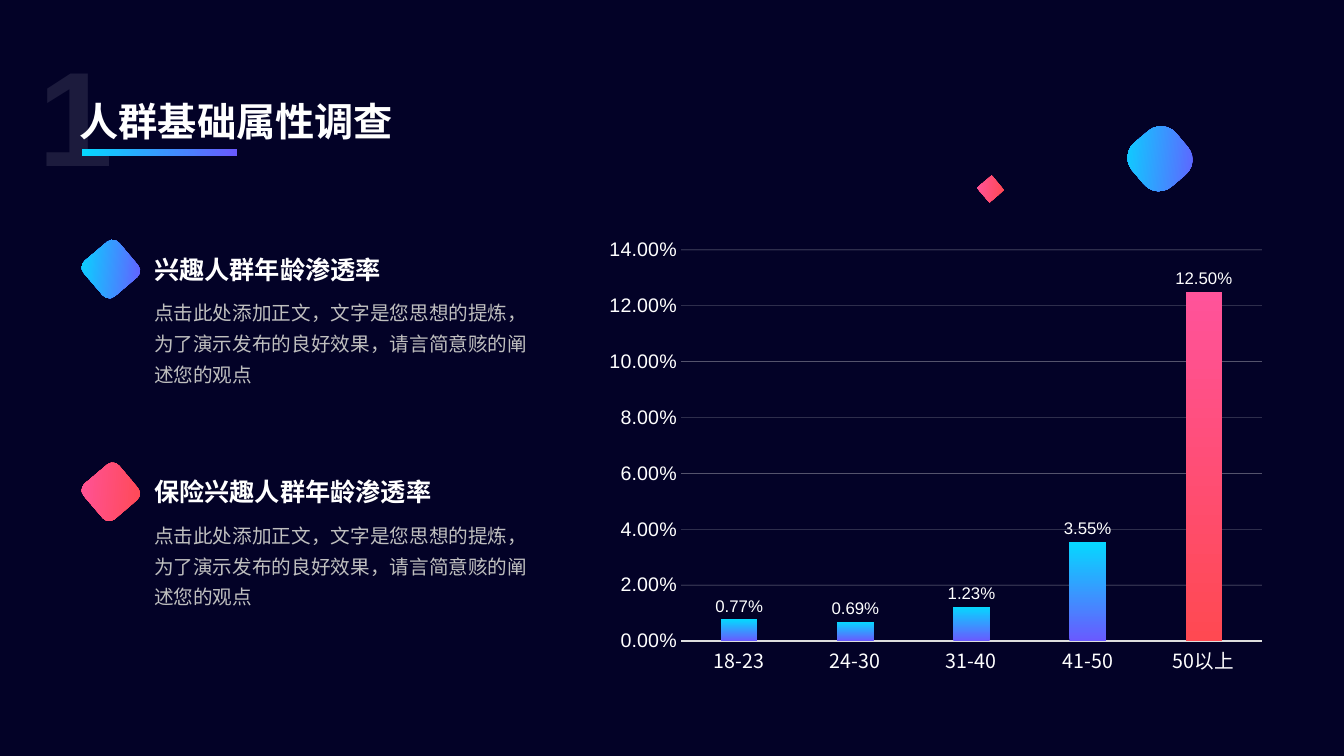
from lxml import etree
from pptx import Presentation
from pptx import util as u
from pptx.chart.data import CategoryChartData
from pptx.dml.color import RGBColor
from pptx.enum import chart as ch, shapes, text
from pptx.oxml.ns import qn

LATIN, CJK = "Arial", "Noto Sans CJK SC"
BLUE, PINK = ("695AFF", "05D8FF"), ("FF4952", "FF539A")
WHITE = "FFFFFF"
BODY = "点击此处添加正文，文字是您思想的提炼，为了演示发布的良好效果，请言简意赅的阐述您的观点"
SECTIONS = [("兴趣人群年龄渗透率", BLUE), ("保险兴趣人群年龄渗透率", PINK)]
PENETRATION = {"18-23": 0.0077, "24-30": 0.0069, "31-40": 0.0123,
               "41-50": 0.0355, "50以上": 0.125}


def rgb(value):
    return RGBColor.from_string(value)


def box(x0, y0, x1, y1):
    return [(x0, y0), (x1, y0), (x1, y1), (x0, y1)]


MONITOR = [
    [(20, 0), (170, 0), (170, 46), (194, 46), (200, 52), (200, 166), (194, 172),
     (122, 172), (122, 190), (134, 190), (134, 200), (64, 200), (64, 190),
     (76, 190), (76, 172), (6, 172), (0, 166), (0, 52), (6, 46), (20, 46)],
    box(84, 172, 114, 190), box(10, 156, 190, 164), box(172, 54, 190, 148),
    box(10, 54, 20, 148), box(28, 34, 164, 148), box(28, 8, 164, 26),
    box(36, 13, 42, 20), box(48, 13, 54, 20), box(60, 13, 66, 20),
    box(72, 13, 156, 20),
    [(98, 46), (144, 128), (52, 128)], [(98, 60), (130, 120), (64, 120)],
    box(94, 78, 102, 100), box(94, 105, 102, 112),
]


class Deck:
    def __init__(self, prs, background):
        self.slide = prs.slides.add_slide(prs.slide_layouts[5])
        self.shapes = self.slide.shapes
        self.slide.background.fill.solid()
        self.slide.background.fill.fore_color.rgb = rgb(background)

    def font(self, font, size, color, name, bold=False):
        font.size, font.bold, font.name = u.Pt(size), bold, name
        font.color.rgb = rgb(color)
        etree.SubElement(font._rPr, qn("a:ea")).set("typeface", name)

    def gradient(self, fill, colors, angle):
        fill.gradient()
        fill.gradient_angle = angle
        for stop, color in zip(fill.gradient_stops, colors):
            stop.color.rgb = rgb(color)

    def place(self, sp, at):
        sp.left, sp.top, sp.width, sp.height = map(u.Inches, at)

    def add_text(self, sp, content, size, color, name, bold=False, spacing=None):
        tf = sp.text_frame
        tf.word_wrap = True
        tf.auto_size = text.MSO_AUTO_SIZE.SHAPE_TO_FIT_TEXT
        tf.vertical_anchor = text.MSO_ANCHOR.TOP
        p = tf.paragraphs[0]
        p.alignment = text.PP_ALIGN.LEFT
        p.line_spacing = spacing
        r = p.add_run()
        r.text = content
        self.font(r.font, size, color, name, bold)

    def label(self, at, *args, **kwargs):
        self.add_text(self.shapes.add_textbox(*map(u.Inches, at)), *args, **kwargs)

    def title(self, at, content):
        sp = self.shapes.title
        self.place(sp, at)
        self.add_text(sp, content, 28, WHITE, CJK, bold=True)
        self.shapes._spTree.append(sp._element)

    def bar(self, at, colors):
        sp = self.shapes.add_shape(shapes.MSO_SHAPE.RECTANGLE, *map(u.Inches, at))
        sp.shadow.inherit = False
        sp.line.fill.background()
        self.gradient(sp.fill, colors, 180)

    def diamond(self, left, top, side, corner, colors, parent=None):
        sp = (parent or self.shapes).add_shape(
            shapes.MSO_SHAPE.ROUNDED_RECTANGLE,
            *map(u.Inches, (left, top, side, side)))
        sp.adjustments[0] = corner
        sp.rotation = 49.7
        sp.shadow.inherit = False
        sp.line.fill.background()
        self.gradient(sp.fill, colors, 225)

    def icon(self, left, top, colors):
        group = self.shapes.add_group_shape().shapes
        self.diamond(left, top, 0.46, 0.18, colors, group)
        first, *rest = MONITOR
        builder = group.build_freeform(*first[0], scale=u.Inches(1) / 1000)
        builder.add_line_segments(first[1:])
        for outline in rest:
            builder.move_to(*outline[0])
            builder.add_line_segments(outline[1:])
        sp = builder.convert_to_shape(u.Inches(left + 0.13), u.Inches(top + 0.13))
        sp.shadow.inherit = False
        sp.line.fill.background()
        sp.fill.solid()
        sp.fill.fore_color.rgb = rgb(WHITE)

    def chart(self, at, values):
        data = CategoryChartData(number_format="0.00%")
        data.categories = list(values)
        data.add_series("Series 1", list(values.values()))
        chart = self.shapes.add_chart(
            ch.XL_CHART_TYPE.COLUMN_CLUSTERED, *map(u.Inches, at), data).chart
        chart.has_legend = chart.has_title = False
        self.font(chart.font, 10, "222222", LATIN)

        for axis, name in ((chart.category_axis, CJK), (chart.value_axis, LATIN)):
            axis.major_tick_mark = axis.minor_tick_mark = ch.XL_TICK_MARK.NONE
            self.font(axis.tick_labels.font, 14, WHITE, name)
        line = chart.category_axis.format.line
        line.width = u.Pt(0.75)
        line.color.rgb = rgb("DEDEDE")

        axis = chart.value_axis
        axis.minimum_scale, axis.maximum_scale, axis.major_unit = 0, 0.14, 0.02
        axis.tick_labels.number_format = "0.00%"
        axis.tick_labels.number_format_is_linked = False
        axis.format.line.fill.background()
        grid = axis.major_gridlines.format.line
        grid.width = u.Pt(0.25)
        grid.color.rgb = rgb(WHITE)
        gridlines = next(axis._element.iter(qn("c:majorGridlines")))
        color = next(gridlines.iter(qn("a:srgbClr")))
        etree.SubElement(color, qn("a:alpha")).set("val", "50000")

        plot = chart.plots[0]
        plot.vary_by_categories = False
        plot.gap_width, plot.overlap = 219, -27
        series = plot.series[0]
        self.gradient(series.format.fill, BLUE, 90)
        self.gradient(series.points[len(values) - 1].format.fill, PINK, 90)
        labels = series.data_labels
        labels.show_value = True
        labels.position = ch.XL_LABEL_POSITION.OUTSIDE_END
        labels.number_format = "0.00%"
        labels.number_format_is_linked = False
        self.font(labels.font, 12, WHITE, LATIN)


def main():
    prs = Presentation()
    prs.slide_width, prs.slide_height = u.Inches(13.33), u.Inches(7.5)
    deck = Deck(prs, "030227")
    deck.chart((5.91, 2.28, 6.74, 4.49), PENETRATION)
    deck.label((0.28, 0.27, 1.27, 1.72), "1", 96, "1C1B3D", LATIN, bold=True)
    deck.bar((0.81, 1.48, 1.54, 0.07), BLUE)
    deck.title((0.69, 0.92, 4.09, 0.57), "人群基础属性调查")
    deck.diamond(11.22, 1.29, 0.57, 0.34, BLUE)
    deck.diamond(9.73, 1.78, 0.19, 0, PINK)
    for i, (heading, colors) in enumerate(SECTIONS):
        top = 2.44 + 2.21 * i
        deck.label((1.43, top + 0.03, 4.09, 0.4), heading, 18, WHITE, CJK, bold=True)
        deck.label((1.43, top + 0.43, 4.09, 0.99), BODY, 14, "BFBFBF", CJK, spacing=1.3)
        deck.icon(0.87, top, colors)
    prs.save("out.pptx")


if __name__ == "__main__":
    main()
